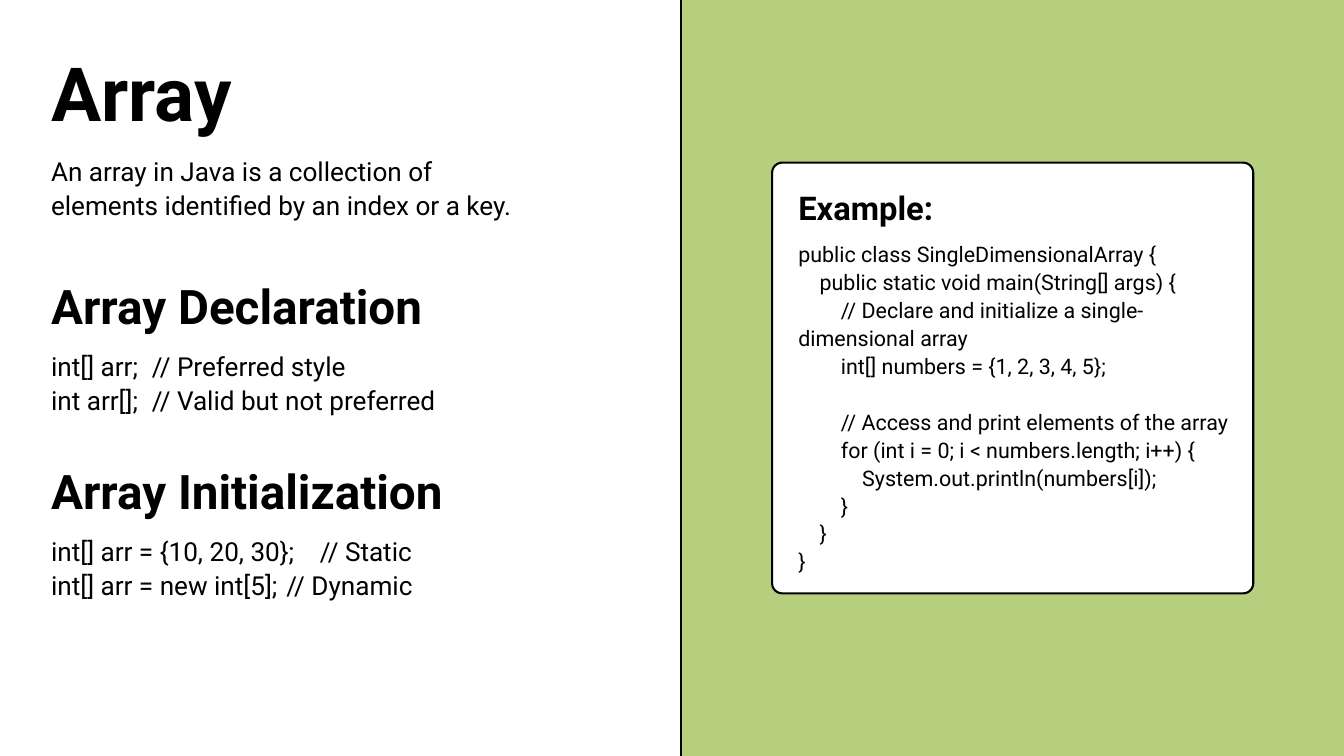
from dataclasses import dataclass

from lxml import etree
from pptx import Presentation, util as u
from pptx.dml.color import RGBColor
from pptx.enum import shapes, text
from pptx.oxml import ns


@dataclass(frozen=True)
class Style:
    size: float
    leading: float
    bold: bool = False


@dataclass(frozen=True)
class Theme:
    font: str = "Roboto"
    ink: RGBColor = RGBColor(0, 0, 0)
    paper: RGBColor = RGBColor(255, 255, 255)
    green: RGBColor = RGBColor(0xB6, 0xCF, 0x7F)
    rule: float = 2.25
    title: Style = Style(80, 88, True)
    heading: Style = Style(51, 56.1, True)
    label: Style = Style(35, 42, True)
    body: Style = Style(28, 36.4)
    code: Style = Style(23, 29.9)


class Page:
    COLUMNS, ROWS = 20, 11.25

    def __init__(self, deck, theme, layout):
        self.theme = theme
        self.unit_x = deck.slide_width / self.COLUMNS
        self.unit_y = deck.slide_height / self.ROWS
        self.slide = deck.slides.add_slide(deck.slide_layouts[layout])
        fill = self.slide.background.fill
        fill.solid()
        fill.fore_color.rgb = theme.green

    def place(self, column, row, columns, rows):
        return (round(column * self.unit_x), round(row * self.unit_y),
                round(columns * self.unit_x), round(rows * self.unit_y))

    def panel(self, area, radius=0, outlined=False):
        kind = shapes.MSO_SHAPE.ROUNDED_RECTANGLE if radius else shapes.MSO_SHAPE.RECTANGLE
        panel = self.slide.shapes.add_shape(kind, *self.place(*area))
        panel.shadow.inherit = False
        panel.fill.solid()
        panel.fill.fore_color.rgb = self.theme.paper
        if radius:
            panel.adjustments[0] = radius / min(area[2:])
        if outlined:
            panel.line.color.rgb = self.theme.ink
            panel.line.width = u.Pt(self.theme.rule)
        else:
            panel.line.fill.background()

    def divider(self, column):
        x, top, _, bottom = self.place(column, 0, 0, self.ROWS)
        line = self.slide.shapes.add_connector(
            shapes.MSO_CONNECTOR.STRAIGHT, x, top, x, bottom)
        line.line.color.rgb = self.theme.ink
        line.line.width = u.Pt(self.theme.rule)
        etree.SubElement(line._element.spPr, ns.qn("a:effectLst"))

    def placeholder(self, index, area, style, lines, stops=()):
        box = self.slide.placeholders[index]
        box.left, box.top, box.width, box.height = self.place(*area)
        tree = self.slide.shapes._spTree
        tree.remove(box._element)
        tree.append(box._element)
        self.set_lines(box, style, lines, stops)

    def textbox(self, area, style, lines):
        box = self.slide.shapes.add_textbox(*self.place(*area))
        self.set_lines(box, style, lines)

    def set_lines(self, box, style, lines, stops=()):
        frame = box.text_frame
        frame.word_wrap = True
        frame.auto_size = text.MSO_AUTO_SIZE.NONE
        frame.vertical_anchor = text.MSO_ANCHOR.TOP
        frame.margin_left = frame.margin_right = 0
        frame.margin_top = frame.margin_bottom = 0
        gap = 0
        shown = 0
        for line in lines:
            if not line:
                gap += style.leading
                continue
            para = frame.add_paragraph() if shown else frame.paragraphs[0]
            para.add_run().text = line
            self.style_para(para, style, gap, stops[shown] if stops else None)
            gap = 0
            shown += 1

    def style_para(self, para, style, gap, stop):
        properties = para._p.get_or_add_pPr()
        properties.set("marL", "0")
        properties.set("indent", "0")
        etree.SubElement(properties, ns.qn("a:buNone"))
        if stop:
            tabs = etree.SubElement(properties, ns.qn("a:tabLst"))
            etree.SubElement(tabs, ns.qn("a:tab"),
                             pos=str(round(stop * self.unit_x)), algn="l")
        para.alignment = text.PP_ALIGN.LEFT
        para.line_spacing = u.Pt(style.leading)
        para.space_before = u.Pt(gap)
        para.space_after = u.Pt(0)
        para.font.name = self.theme.font
        para.font.size = u.Pt(style.size)
        para.font.bold = style.bold
        para.font.color.rgb = self.theme.ink


SECTIONS = [
    ("Array Declaration",
     ["int[] arr;\t// Preferred style", "int arr[];\t// Valid but not preferred"],
     [2.07, 2.17]),
    ("Array Initialization",
     ["int[] arr = {10, 20, 30};\t// Static", "int[] arr = new int[5];\t// Dynamic"],
     [3.82, 3.56]),
]

EXAMPLE = """public class SingleDimensionalArray {
    public static void main(String[] args) {
        // Declare and initialize a single-dimensional array
        int[] numbers = {1, 2, 3, 4, 5};

        // Access and print elements of the array
        for (int i = 0; i < numbers.length; i++) {
            System.out.println(numbers[i]);
        }
    }
}"""


def main():
    deck = Presentation()
    deck.slide_width, deck.slide_height = u.Inches(20), u.Inches(11.25)
    theme = Theme()
    page = Page(deck, theme, layout=4)
    split, margin, width = 10.13, 0.76, 7.19

    page.panel((0, 0, split, page.ROWS))
    page.divider(split)
    page.panel((11.49, 2.42, 7.16, 6.41), radius=0.15, outlined=True)
    page.textbox((11.88, 2.79, 5.87, 0.59), theme.label, ["Example:"])
    page.textbox((11.88, 3.56, 6.58, 5.27), theme.code, EXAMPLE.split("\n"))

    page.placeholder(0, (margin, 0.81, width, 1.28), theme.title, ["Array"])
    page.textbox((margin, 2.27, width, 0.98), theme.body,
                 ["An array in Java is a collection of elements identified by an index or a key."])
    for number, (heading, lines, stops) in enumerate(SECTIONS):
        top = 4.19 + 2.75 * number
        page.placeholder(1 + 2 * number, (margin, top, width, 0.81), theme.heading, [heading])
        page.placeholder(2 + 2 * number, (margin, top + 0.99, width, 1.48),
                         theme.body, lines, stops)
    deck.save("out.pptx")


if __name__ == "__main__":
    main()
